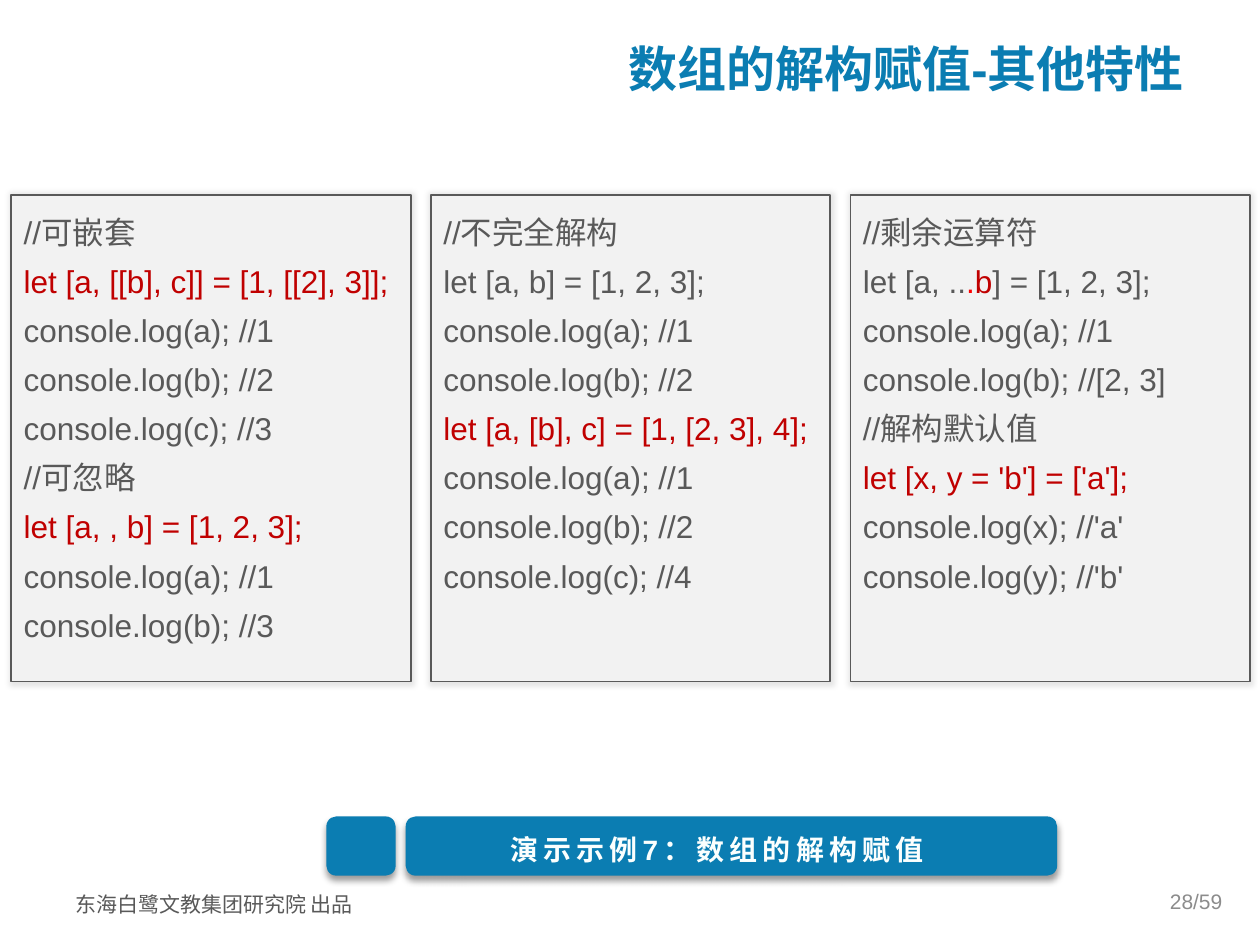
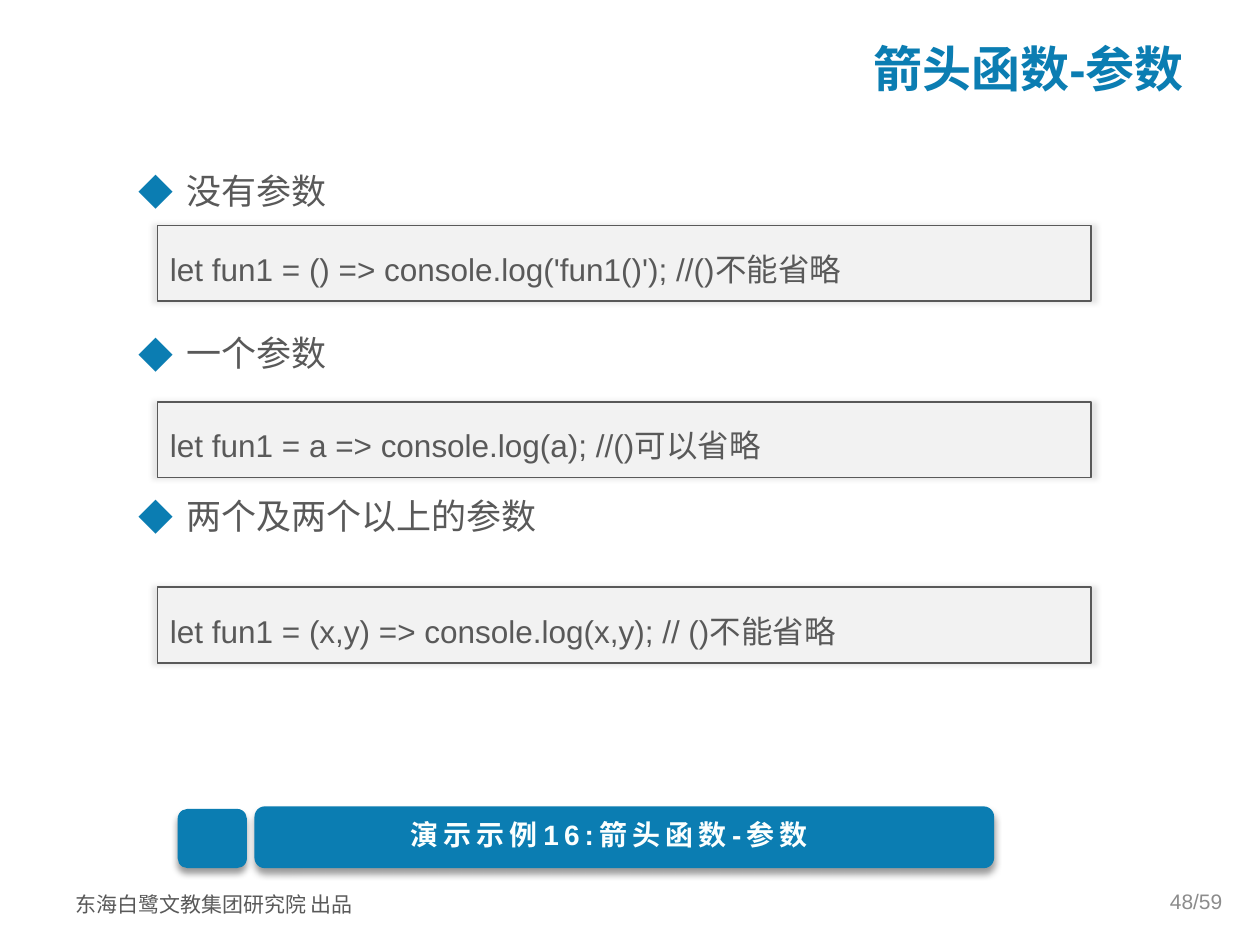
from dataclasses import dataclass
from lxml.etree import SubElement
from pptx import Presentation
from pptx.dml.color import RGBColor
from pptx.enum.shapes import MSO_SHAPE
from pptx.enum.text import MSO_ANCHOR, PP_ALIGN
from pptx.oxml.ns import qn
from pptx.util import Inches, Pt


@dataclass(frozen=True)
class Theme:
    blue: str = "0B7DB2"
    grey: str = "595959"
    panel: str = "F2F2F2"
    key: str = "C00000"
    dots: str = "FF0000"
    page: str = "8C8C8C"
    label: str = "FBFFFE"
    latin: str = "Arial"
    cjk: str = "Noto Sans CJK SC"
    title_size: int = 28
    body_size: int = 20
    code_size: int = 18
    label_size: int = 16
    small_size: int = 12


T = Theme()


def write(sp, lines, size=T.code_size, color=T.grey, font=T.latin, bold=False,
          align=PP_ALIGN.LEFT, anchor=MSO_ANCHOR.TOP, spacing=1.0, tracking=0):
    tf = sp.text_frame
    tf.word_wrap = True
    tf.vertical_anchor = anchor
    for i, line in enumerate(lines):
        p = tf.add_paragraph() if i else tf.paragraphs[0]
        p.alignment = align
        p.line_spacing = spacing
        for text, run_color in [(line, color)] if isinstance(line, str) else line:
            r = p.add_run()
            r.text = text
            r.font.size = Pt(size)
            r.font.name = font
            r.font.bold = bold
            r.font.color.rgb = RGBColor.from_string(run_color)
            rPr = r._r.get_or_add_rPr()
            SubElement(rPr, qn("a:ea"), typeface=T.cjk)
            if tracking:
                rPr.set("spc", str(tracking * 100))
    return tf


def box(shapes, kind, at, fill, line=None, alpha=10, blur=3, dist=0, angle=0, scale=100):
    sp = shapes.add_shape(kind, *map(Inches, at))
    sp.fill.solid()
    sp.fill.fore_color.rgb = RGBColor.from_string(fill)
    if line:
        sp.line.color.rgb = RGBColor.from_string(line)
        sp.line.width = Pt(1)
    else:
        sp.line.fill.background()
    sp.shadow.inherit = False
    effects = sp._element.spPr.find(qn("a:effectLst"))
    shadow = SubElement(effects, qn("a:outerShdw"), blurRad=str(Pt(blur)), dist=str(Pt(dist)),
                        dir=str(angle * 60000), sx=str(scale * 1000), sy=str(scale * 1000),
                        algn="ctr", rotWithShape="0")
    clr = SubElement(shadow, qn("a:srgbClr"), val="000000")
    SubElement(clr, qn("a:alpha"), val=str(alpha * 1000))
    return sp


prs = Presentation()
prs.slide_width, prs.slide_height = Inches(10), Inches(7.5)

pages = [
    dict(title="数组的解构赋值-其他特性", number="28/59", label="演示示例7：数组的解构赋值",
         tab=(2.59, 6.48, 0.55, 0.47), bar=(3.22, 6.48, 5.17, 0.47),
         label_at=(3.26, 6.56, 4.86, 0.37)),
    dict(title="箭头函数-参数", number="48/59", label="演示示例16:箭头函数-参数",
         tab=(1.41, 6.42, 0.55, 0.47), bar=(2.02, 6.4, 5.87, 0.49),
         label_at=(1.78, 6.44, 6.11, 0.37)),
]
slides = []
for page in pages:
    s = prs.slides.add_slide(prs.slide_layouts[6])
    slides.append(s)
    footer = s.shapes.add_textbox(Inches(0.5), Inches(6.99), Inches(2.53), Inches(0.34))
    write(footer, ["东海白鹭文教集团研究院 出品"], size=T.small_size, font=T.cjk, spacing=1.2)
    title = s.shapes.add_textbox(Inches(1), Inches(0.31), Inches(8.49), Inches(0.45))
    write(title, [page["title"]], size=T.title_size, color=T.blue, bold=True,
          align=PP_ALIGN.RIGHT, anchor=MSO_ANCHOR.MIDDLE)
    number = s.shapes.add_textbox(Inches(7.47), Inches(6.95), Inches(2.33), Inches(0.4))
    write(number, [page["number"]], size=T.small_size, color=T.page,
          align=PP_ALIGN.RIGHT, anchor=MSO_ANCHOR.MIDDLE)
    demo = s.shapes.add_group_shape()
    for part in ("tab", "bar"):
        box(demo.shapes, MSO_SHAPE.ROUNDED_RECTANGLE, page[part], T.blue,
            alpha=40, blur=4, dist=3, angle=90)
    label = demo.shapes.add_textbox(*map(Inches, page["label_at"]))
    write(label, [page["label"]], size=T.label_size, color=T.label, bold=True,
          align=PP_ALIGN.CENTER, tracking=3)

destructuring, arrows = slides

columns = [
    ["//可嵌套",
     [("let [a, [[b], c]] = [1, [[2], 3]];", T.key)],
     "console.log(a); //1",
     "console.log(b); //2",
     "console.log(c); //3",
     "//可忽略",
     [("let [a, , b] = [1, 2, 3];", T.key)],
     "console.log(a); //1",
     "console.log(b); //3"],
    ["//不完全解构",
     "let [a, b] = [1, 2, 3];",
     "console.log(a); //1",
     "console.log(b); //2",
     [("let [a, [b], c] = [1, [2, 3], 4];", T.key)],
     "console.log(a); //1",
     "console.log(b); //2",
     "console.log(c); //4"],
    ["//剩余运算符",
     [("let [a, ..", T.grey), (".", T.dots), ("b", T.key), ("] = [1, 2, 3];", T.grey)],
     "console.log(a); //1",
     "console.log(b); //[2, 3]",
     "//解构默认值",
     [("let [x, y = 'b'] = ['a'];", T.key)],
     "console.log(x); //'a'",
     "console.log(y); //'b'"],
]
for i, code in enumerate(columns):
    sp = box(destructuring.shapes, MSO_SHAPE.RECTANGLE, (0.09 + 3.33 * i, 1.55, 3.17, 3.86),
             T.panel, line=T.grey, scale=101)
    write(sp, code, spacing=1.3)

cases = [
    ("没有参数", 1.79, "let fun1 = () => console.log('fun1()'); //()不能省略"),
    ("一个参数", 3.19, "let fun1 = a => console.log(a); //()可以省略"),
    ("两个及两个以上的参数", 4.66, "let fun1 = (x,y) => console.log(x,y); // ()不能省略"),
]
body = arrows.shapes.add_textbox(Inches(1), Inches(1.23), Inches(8.49), Inches(4.72))
tf = write(body, [heading for heading, top, code in cases], size=T.body_size, font=T.cjk,
           spacing=1.2)
for i, p in enumerate(tf.paragraphs):
    p.space_before = Pt(64 if i else 4)
    pPr = p._p.get_or_add_pPr()
    pPr.set("marL", str(Inches(0.38)))
    pPr.set("indent", str(Inches(-0.38)))
    SubElement(SubElement(pPr, qn("a:buClr")), qn("a:srgbClr"), val=T.blue)
    SubElement(pPr, qn("a:buFont"), typeface=T.cjk)
    SubElement(pPr, qn("a:buChar"), char="◆")
for heading, top, code in cases:
    sp = box(arrows.shapes, MSO_SHAPE.RECTANGLE, (1.25, top, 7.41, 0.6),
             T.panel, line=T.grey, scale=101)
    write(sp, [code], anchor=MSO_ANCHOR.MIDDLE, spacing=1.3)

prs.save("out.pptx")
